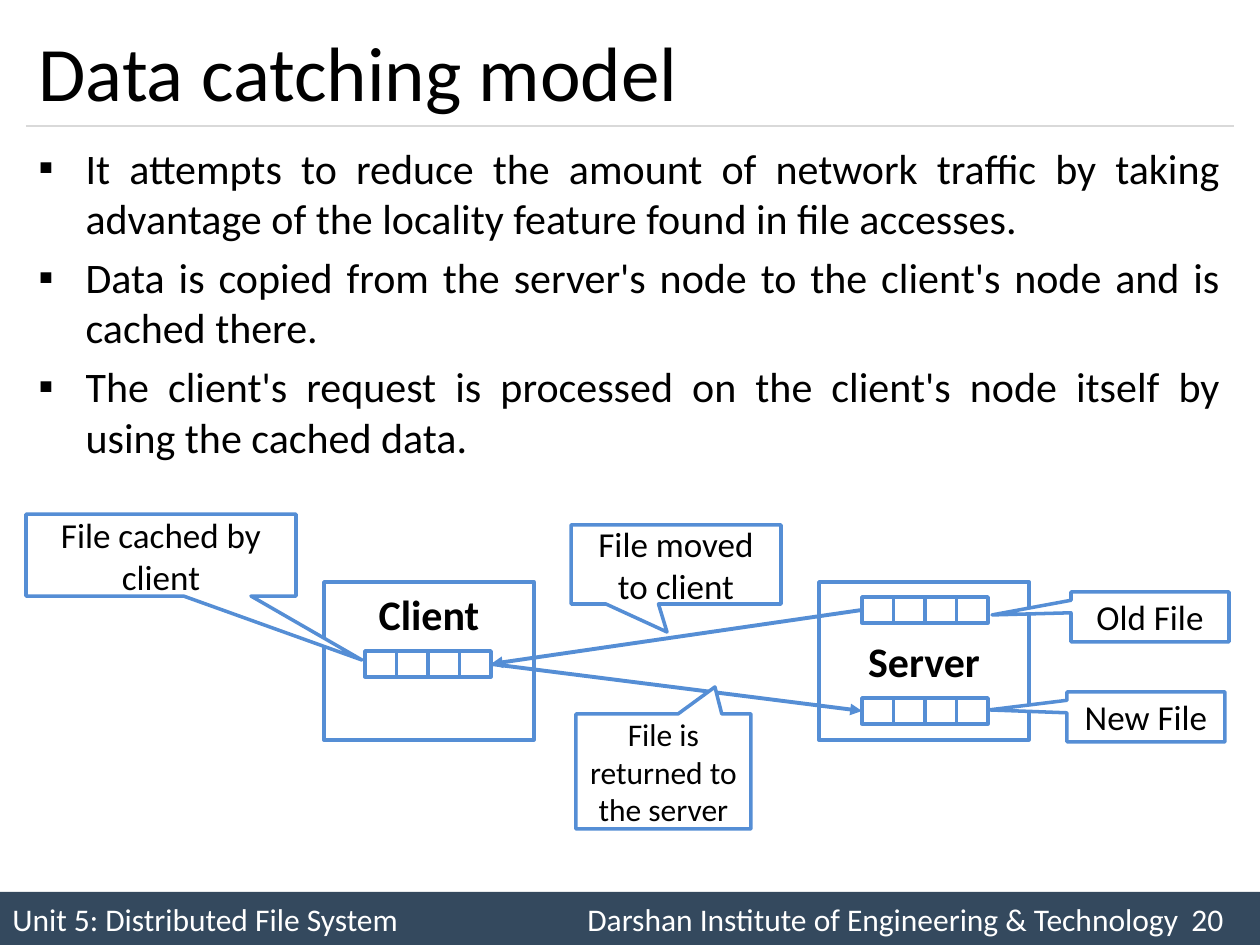
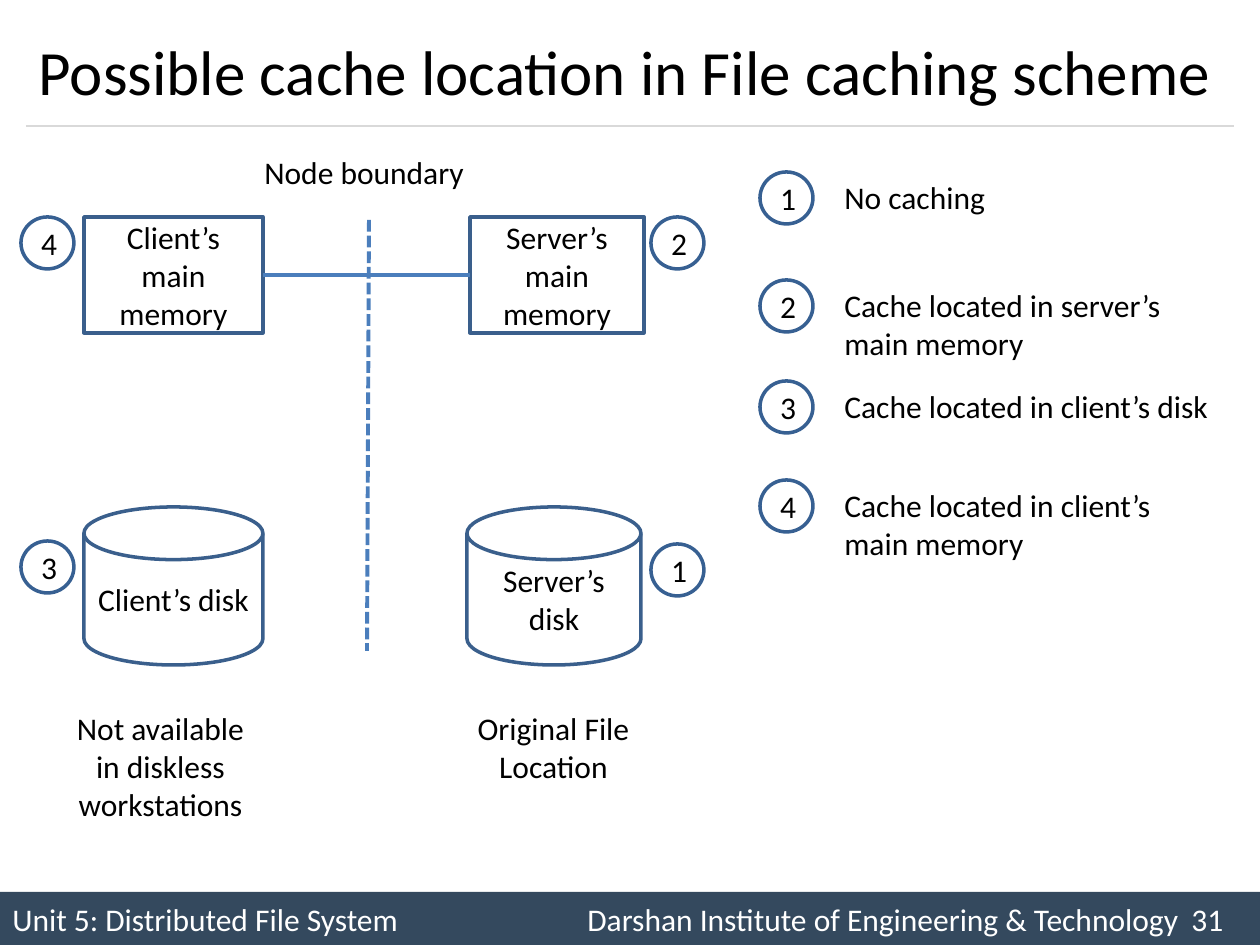
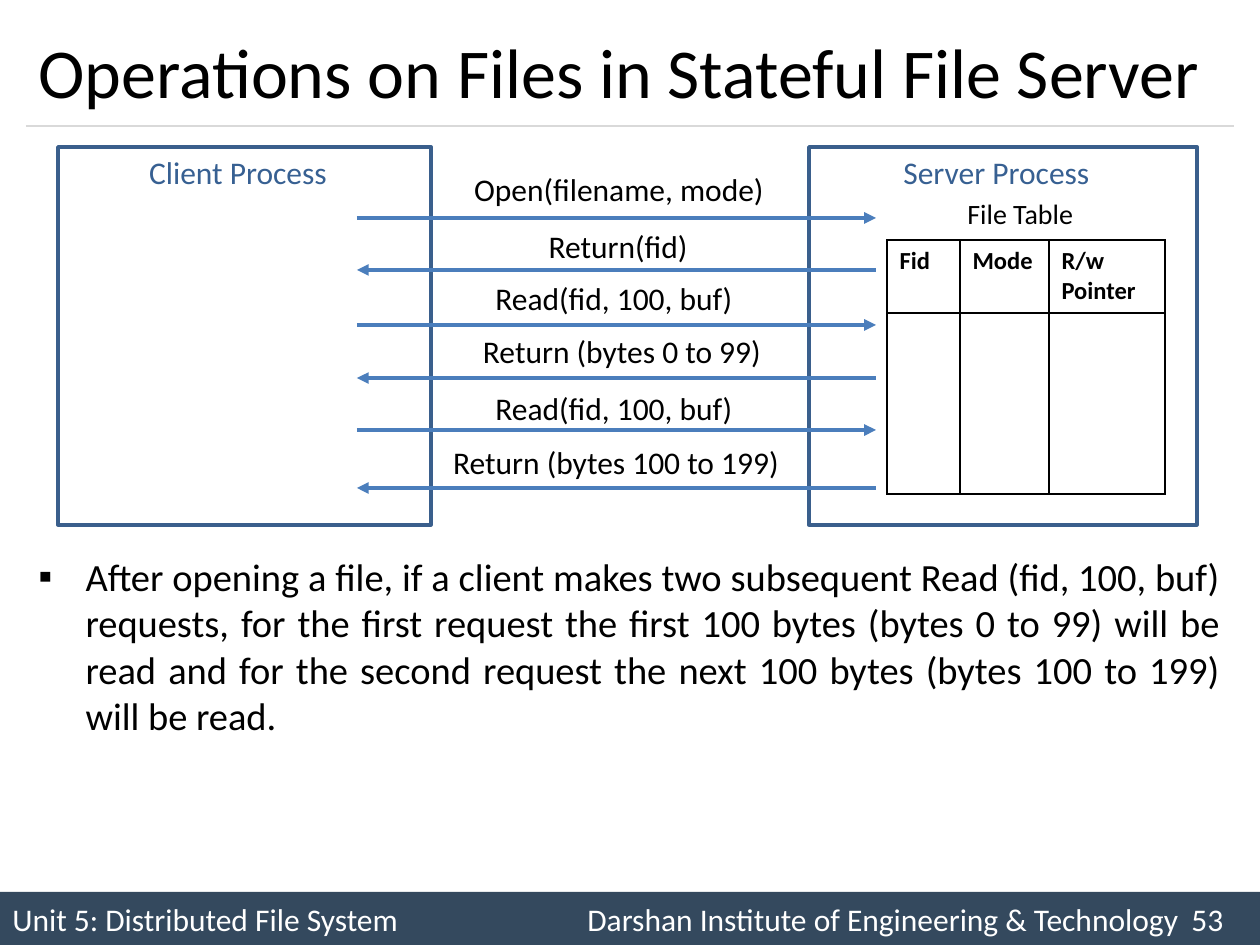
import lxml.etree
import pptx
import pptx.dml.color
import pptx.enum.dml
import pptx.enum.shapes
import pptx.enum.text
import pptx.oxml
import pptx.oxml.ns
import pptx.util

PX = 914400 / 126
FONT = "Calibri"
HEX = {
    "ink": "000000", "paper": "FFFFFF", "band": "34495E", "rule": "D9D9D9",
    "sky": "558ED5", "edge": "3A5F8C", "ring": "376092", "wire": "4B7EBC",
}
KIND = pptx.enum.shapes.MSO_SHAPE
ALIGN = pptx.enum.text.PP_ALIGN
MID = pptx.enum.text.MSO_ANCHOR.MIDDLE
TOP = pptx.enum.text.MSO_ANCHOR.TOP
NS = pptx.oxml.ns.nsdecls("a")


# Shared helpers
def emu(*sizes):
    return [pptx.util.Emu(round(size * PX)) for size in sizes]


def tint(name):
    return pptx.dml.color.RGBColor.from_string(HEX[name])


def add_xml(node, text):
    node.append(pptx.oxml.parse_xml(text))


def style(item, form):
    for key, value in form.items():
        setattr(item, key, value)


def write(frame, text, size, color="ink", align=ALIGN.LEFT, anchor=TOP,
          bold=False, wrap=True):
    """Fill a text frame, one paragraph for each line of text."""
    style(frame, {"word_wrap": wrap, "vertical_anchor": anchor,
                  "auto_size": pptx.enum.text.MSO_AUTO_SIZE.NONE})
    form = {"name": FONT, "size": pptx.util.Pt(size), "bold": bold}
    for num, part in enumerate(text.split("\n")):
        para = frame.add_paragraph() if num else frame.paragraphs[0]
        para.alignment = align
        run = para.add_run()
        run.text = part
        style(run.font, form)
        run.font.color.rgb = tint(color)


def shape(shapes, kind, box, line=None, fill=None, text="", size=18, **form):
    item = shapes.add_shape(kind, *emu(*box))
    item.shadow.inherit = False
    if fill:
        item.fill.solid()
        item.fill.fore_color.rgb = tint(fill)
    else:
        item.fill.background()
    if line:
        item.line.color.rgb = tint(line)
        item.line.width = pptx.util.Pt(2)
    else:
        item.line.fill.background()
    if text:
        write(item.text_frame, text, size,
              **{"align": ALIGN.CENTER, "anchor": MID, **form})
    return item


def label(shapes, box, text, size=18, **form):
    item = shapes.add_textbox(*emu(*box))
    write(item.text_frame, text, size, **form)


def wire(shapes, start, end, color="wire", width=2.25, head=False, dash=None):
    item = shapes.add_connector(
        pptx.enum.shapes.MSO_CONNECTOR.STRAIGHT, *emu(*start, *end))
    item.line.color.rgb = tint(color)
    item.line.width = pptx.util.Pt(width)
    if dash:
        item.line.dash_style = dash
    if head:
        add_xml(item.line._get_or_add_ln(), f'<a:tailEnd {NS} type="triangle"/>')
    add_xml(item._element.spPr, f"<a:effectLst {NS}/>")
    return item


def join(shapes, first, side, last, end, **form):
    item = wire(shapes, (0, 0), (1, 1), **form)
    item.begin_connect(first, side)
    item.end_connect(last, end)


def place(item, box):
    style(item, dict(zip(("left", "top", "width", "height"), emu(*box))))


# Slide frame: title, rule and footer band
def frame(deck, layout, title, size, page):
    slide = deck.slides.add_slide(deck.slide_layouts[layout])
    place(slide.shapes.title, (26, 15, 1207, 111))
    write(slide.shapes.title.text_frame, title, size, anchor=MID)
    wire(slide.shapes, (26, 126), (1234, 126), color="rule", width=0.75)
    band = shape(slide.shapes, KIND.RECTANGLE, (0, 892, 1260, 53), fill="band")
    para = band.text_frame.paragraphs[0]
    stops = "".join(f'<a:tab pos="{pos}" algn="l"/>' for pos in emu(575, 1179))
    add_xml(para._p.get_or_add_pPr(), f"<a:tabLst {NS}>{stops}</a:tabLst>")
    text = ("Unit 5: Distributed File System\t"
            f"Darshan Institute of Engineering & Technology\t{page}")
    write(band.text_frame, text, 18, color="paper", anchor=MID)
    return slide


def bullets(slide, box, text, size):
    body = slide.placeholders[1]
    place(body, box)
    write(body.text_frame, text, size, align=ALIGN.JUSTIFY)
    for num, para in enumerate(body.text_frame.paragraphs):
        props = para._p.get_or_add_pPr()
        add_xml(props, f'<a:buFont {NS} typeface="{FONT}"/>')
        add_xml(props, f'<a:buChar {NS} char="▪"/>')
        props.set("marL", str(emu(47)[0]))
        props.set("indent", str(emu(-47)[0]))
        para.space_before = pptx.util.Pt(size * 0.2 if num else 0)


# Data caching diagram
def blocks(shapes, left, top, count=4):
    """Draw a file as a row of blocks; return its first and last block."""
    group = shapes.add_group_shape()
    cells = [shape(group.shapes, KIND.RECTANGLE,
                   (left + num * 31.5, top, 31.5, 26), "sky", "paper")
             for num in range(count)]
    return cells[0], cells[-1]


def callout(shapes, box, tip, text, size):
    left, top, wide, high = box
    item = shape(shapes, KIND.RECTANGULAR_CALLOUT, box, "sky", "paper", text, size)
    item.adjustments[0] = (tip[0] - left - wide / 2) / wide
    item.adjustments[1] = (tip[1] - top - high / 2) / high


def model(shapes, x, y):
    for left, name, anchor in ((298, "Client", TOP), (793, "Server", MID)):
        shape(shapes, KIND.RECTANGLE, (x + left, y + 68, 210, 158), "sky",
              "paper", name, 24, bold=True, anchor=anchor)
    old, _ = blocks(shapes, x + 836, y + 83)
    new, _ = blocks(shapes, x + 836, y + 184)
    _, copy = blocks(shapes, x + 339, y + 137)
    join(shapes, copy, 3, new, 1, color="sky", head=True)
    join(shapes, old, 1, copy, 3, color="sky", head=True)
    notes = (
        ((1045, 78, 158, 50), (966, 101), "Old File", 20),
        ((1041, 178, 158, 50), (963, 196), "New File", 20),
        ((550, 200, 175, 115), (689, 173), "File is returned to the server", 18),
        ((0, 0, 270, 82), (336, 146), "File cached by client", 20),
        ((545, 11, 210, 79), (641, 118), "File moved to client", 20),
    )
    for (left, top, wide, high), tip, text, size in notes:
        callout(shapes, (x + left, y + top, wide, high),
                (x + tip[0], y + tip[1]), text, size)


# Cache location diagram and its legend
def badge(shapes, left, top, num):
    shape(shapes, KIND.OVAL, (left, top, 53, 52), "ring", "paper", str(num))


def nodes(shapes, x, y):
    rooms = []
    sides = (("Client’s", 63, 63, 179, 38, "Not available in diskless workstations"),
             ("Server’s", 449, 446, 174, 431, "Original File Location"))
    for name, room, disk, wide, note, text in sides:
        rooms.append(shape(shapes, KIND.RECTANGLE, (x + room, y + 70, wide, 116),
                           "edge", text=f"{name} main memory"))
        shape(shapes, KIND.FLOWCHART_MAGNETIC_DISK,
              (x + disk, y + 360, wide, 158), "edge", text=f"{name} disk")
        label(shapes, (x + note, y + 556, 203, 127), text, align=ALIGN.CENTER)
    join(shapes, rooms[0], 3, rooms[1], 1)
    wire(shapes, (x + 348, y + 73), (x + 346, y + 504),
         dash=pptx.enum.dml.MSO_LINE.SQUARE_DOT)
    label(shapes, (x + 231, y, 228, 50), "Node boundary", wrap=False)
    for num, left, top in ((4, 0, 70), (3, 0, 394), (2, 630, 70), (1, 630, 397)):
        badge(shapes, x + left, y + top, num)


def legend(shapes, x, y):
    rows = ((0, "No caching"), (108, "Cache located in server’s main memory"),
            (209, "Cache located in client’s disk"),
            (308, "Cache located in client’s main memory"))
    for num, (top, text) in enumerate(rows, 1):
        badge(shapes, x, y + top, num)
        label(shapes, (x + 72, y + top, 402, 89), text)


# Stateful server exchange
def grid(shapes, x, y):
    """Draw the file table with thin black borders."""
    cols, rows = (73, 89, 116), (73, 181)
    table = shapes.add_table(2, 3, *emu(x, y, sum(cols), sum(rows))).table
    style(table, {"first_row": False, "horz_banding": False})
    for col, wide in zip(table.columns, emu(*cols)):
        col.width = wide
    for row, high in zip(table.rows, emu(*rows)):
        row.height = high
    for cell, text in zip(table.rows[0].cells, ("Fid", "Mode", "R/w\nPointer")):
        write(cell.text_frame, text, 14, bold=True)
    for cell in table.iter_cells():
        props = cell._tc.get_or_add_tcPr()
        for side in "LRTB":
            add_xml(props, f'<a:ln{side} {NS} w="12700"><a:solidFill>'
                           f'<a:srgbClr val="{HEX["ink"]}"/></a:solidFill></a:ln{side}>')
        cell.fill.background()


def talk(shapes, x, y):
    grid(shapes, x + 829, y + 93)
    for left, wide, name in ((0, 373, "Client"), (751, 388, "Server")):
        shape(shapes, KIND.RECTANGLE, (x + left, y, wide, 378), "edge")
        label(shapes, (x + left, y, wide - 13, 50), f"{name} Process",
              color="ring", align=ALIGN.CENTER)
    label(shapes, (x + 897, y + 43, 132, 47), "File Table", 16, wrap=False)
    calls = (
        ("Open(filename, mode)", 71, 17, 561), ("Return(fid)", 123, 74, 560),
        ("Read(fid, 100, buf)", 178, 126, 556),
        ("Return (bytes 0 to 99)", 231, 179, 564),
        ("Read(fid, 100, buf)", 283, 236, 556),
        ("Return (bytes 100 to 199)", 341, 290, 558),
    )
    for num, (text, level, top, center) in enumerate(calls):
        ends = [(x + 299, y + level), (x + 818, y + level)]
        wire(shapes, *(ends[::-1] if num % 2 else ends), head=True)
        label(shapes, (x + center - 185, y + top, 370, 50), text,
              align=ALIGN.CENTER)


def main():
    deck = pptx.Presentation()
    deck.slide_width, deck.slide_height = emu(1260, 945)

    slide = frame(deck, 1, "Data catching model", 44, 20)
    bullets(slide, (26, 136, 1207, 735),
            "It attempts to reduce the amount of network traffic by taking "
            "advantage of the locality feature found in file accesses.\n"
            "Data is copied from the server's node to the client's node and is "
            "cached there.\n"
            "The client's request is processed on the client's node itself by "
            "using the cached data.", 24)
    model(slide.shapes, 26, 514)

    slide = frame(deck, 5, "Possible cache location in File caching scheme", 36, 31)
    nodes(slide.shapes, 21, 147)
    legend(slide.shapes, 760, 172)

    slide = frame(deck, 1, "Operations on Files in Stateful File Server", 40, 53)
    talk(slide.shapes, 58, 147)
    bullets(slide, (26, 547, 1207, 325),
            "After opening a file, if a client makes two subsequent Read (fid, "
            "100, buf) requests, for the first request the first 100 bytes (bytes "
            "0 to 99) will be read and for the second request the next 100 bytes "
            "(bytes 100 to 199) will be read.", 22)

    deck.save("out.pptx")


if __name__ == "__main__":
    main()
